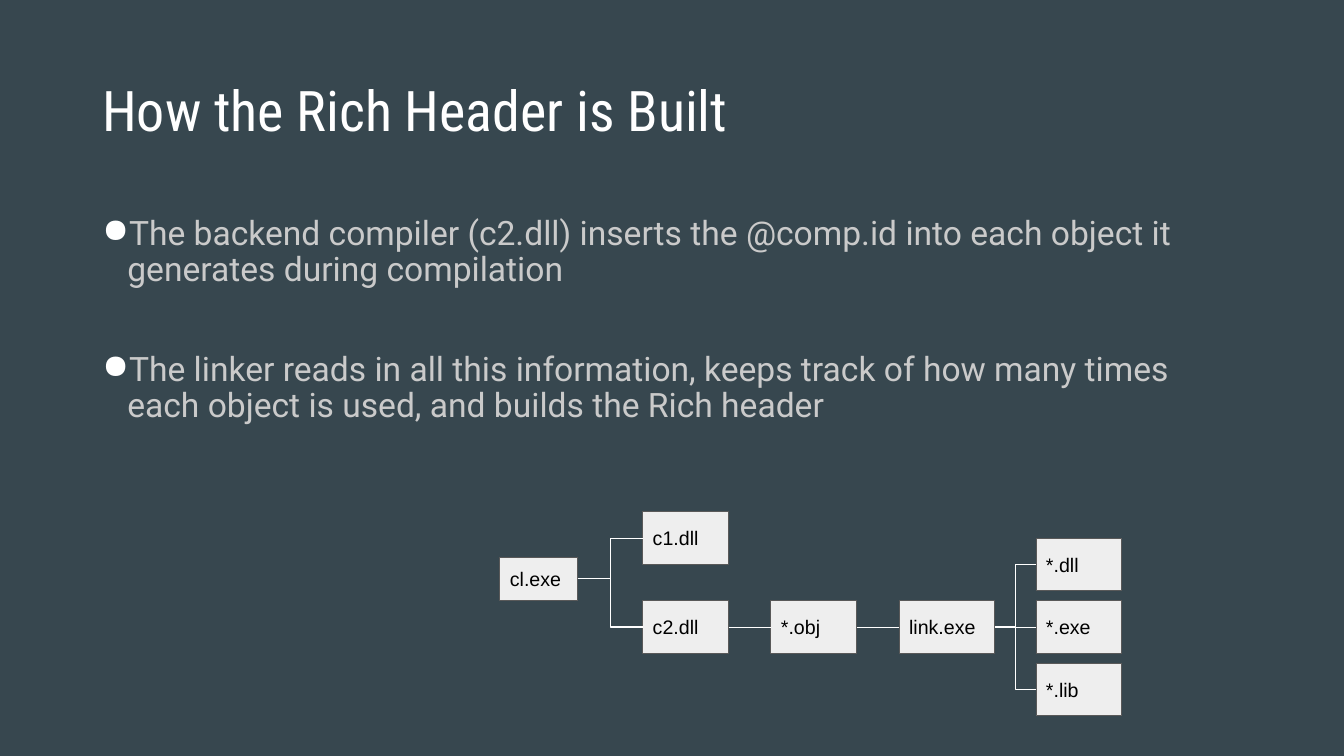
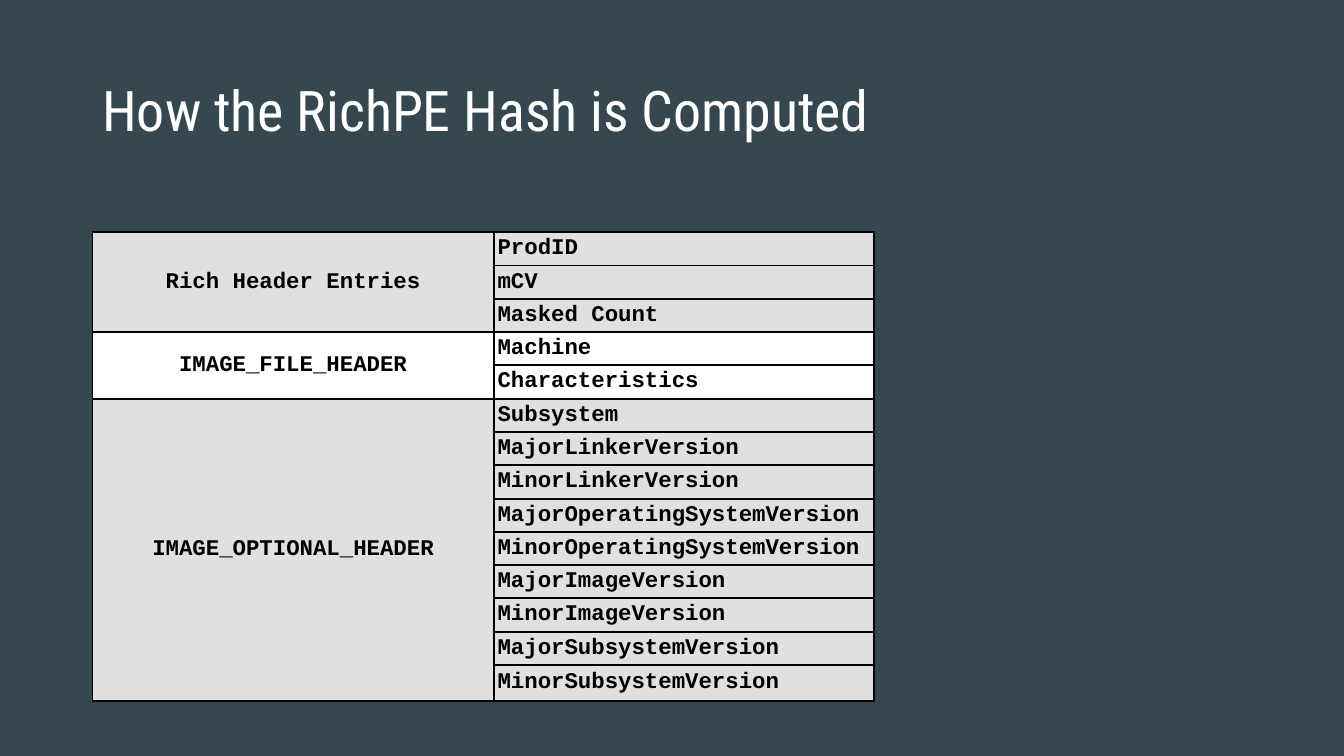
import pptx
import pptx.dml.color
import pptx.enum.shapes
import pptx.enum.text
import pptx.oxml
import pptx.oxml.ns
import pptx.util
from lxml import etree

Cm = pptx.util.Cm
Pt = pptx.util.Pt
ANCHOR = pptx.enum.text.MSO_ANCHOR
ALIGN = pptx.enum.text.PP_ALIGN
NAMESPACE = pptx.oxml.ns.nsdecls("a")

COLORS = {
    "background": "37474F", "title": "FFFFFF", "body": "CACACA",
    "box": "EEEEEE", "outline": "595959", "wire": "FFFFFF",
    "ink": "000000", "gray": "E0E0E0", "white": "FFFFFF",
}
FONTS = {
    "title": {"name": "Roboto Condensed", "size": Pt(40)},
    "body": {"name": "Roboto", "size": Pt(24)},
    "box": {"name": "Arial", "size": Pt(14)},
    "cell": {"name": "Courier New", "size": Pt(16), "bold": True},
}
TEXT_INSETS = {"margin_left": Cm(0.25), "margin_right": Cm(0.25),
               "margin_top": Cm(0.13), "margin_bottom": Cm(0.13)}
BOX_INSETS = {side: Cm(0.25) for side in TEXT_INSETS}
CELL_FORMAT = {"margin_left": Cm(0.1), "margin_right": Cm(0.1),
               "margin_top": Cm(0.08), "margin_bottom": Cm(0.08),
               "vertical_anchor": ANCHOR.MIDDLE}
LEFT, TEXT_WIDTH = 2.33, 29.21
RIGHT_SITE, LEFT_SITE = 3, 1


def rgb(color):
    return pptx.dml.color.RGBColor.from_string(COLORS[color])


def apply(target, values):
    for attribute, value in values.items():
        setattr(target, attribute, value)


class Deck:
    """Holds the presentation, its style and the current slide."""

    def __init__(self):
        self.presentation = pptx.Presentation()
        apply(self.presentation, {"slide_width": Cm(33.87), "slide_height": Cm(19.05)})
        self.slide = None

    def new_slide(self, title):
        self.slide = self.presentation.slides.add_slide(self.presentation.slide_layouts[6])
        background = self.slide.background.fill
        background.solid()
        background.fore_color.rgb = rgb("background")
        frame = self.text_area(1.01, 3.69, ANCHOR.MIDDLE)
        self.add_text(frame.paragraphs[0], title, "title", "title", line_spacing=0.9)

    def text_area(self, top, height, anchor):
        area = self.slide.shapes.add_textbox(Cm(LEFT), Cm(top), Cm(TEXT_WIDTH), Cm(height))
        apply(area.text_frame, {**TEXT_INSETS, "word_wrap": True, "vertical_anchor": anchor})
        return area.text_frame

    def add_text(self, paragraph, text, font, color, **layout):
        apply(paragraph, layout)
        run = paragraph.add_run()
        run.text = text
        apply(run.font, FONTS[font])
        run.font.color.rgb = rgb(color)

    def bullets(self, points):
        frame = self.text_area(5.33, 12.09, ANCHOR.TOP)
        for index, point in enumerate(points):
            paragraph = frame.add_paragraph() if index else frame.paragraphs[0]
            self.add_text(paragraph, point, "body", "body", line_spacing=0.9,
                          space_before=Pt(45 if index else 0))
            properties = paragraph._p.get_or_add_pPr()
            properties.set("marL", str(Cm(0.63)))
            properties.set("indent", str(-Cm(0.63)))
            color = etree.SubElement(properties, pptx.oxml.ns.qn("a:buClr"))
            etree.SubElement(color, pptx.oxml.ns.qn("a:srgbClr"), val=COLORS["title"])
            etree.SubElement(properties, pptx.oxml.ns.qn("a:buChar"), char="●")

    def box(self, text, left, center, width=2.16, height=1.32):
        box = self.slide.shapes.add_shape(
            pptx.enum.shapes.MSO_SHAPE.RECTANGLE,
            Cm(left), Cm(center - height / 2), Cm(width), Cm(height))
        box.shadow.inherit = False
        box.fill.solid()
        box.fill.fore_color.rgb = rgb("box")
        box.line.color.rgb = rgb("outline")
        box.line.width = Pt(0.75)
        apply(box.text_frame, {**BOX_INSETS, "word_wrap": True, "vertical_anchor": ANCHOR.MIDDLE})
        self.add_text(box.text_frame.paragraphs[0], text, "box", "ink", alignment=ALIGN.LEFT)
        return box

    def wire(self, source, target):
        wire = self.slide.shapes.add_connector(pptx.enum.shapes.MSO_CONNECTOR.ELBOW, 0, 0, 0, 0)
        wire.begin_connect(source, RIGHT_SITE)
        wire.end_connect(target, LEFT_SITE)
        wire.line.color.rgb = rgb("wire")
        wire.line.width = Pt(0.75)
        etree.SubElement(wire._element.spPr, pptx.oxml.ns.qn("a:effectLst"))

    def cell(self, cell, fill):
        apply(cell, CELL_FORMAT)
        cell.fill.solid()
        cell.fill.fore_color.rgb = rgb(fill)
        properties = cell._tc.get_or_add_tcPr()
        for position, side in enumerate("LRTB"):
            properties.insert(position, pptx.oxml.parse_xml(
                f'<a:ln{side} {NAMESPACE} w="{Pt(1.5)}"><a:solidFill>'
                f'<a:srgbClr val="{COLORS["ink"]}"/></a:solidFill></a:ln{side}>'))

    def grouped_table(self, top, groups, row_heights):
        """Each group is a header, its fill and the fields listed beside it."""
        columns = (10.11, 9.58)
        table = self.slide.shapes.add_table(
            len(row_heights), len(columns), Cm(LEFT), Cm(top),
            Cm(sum(columns)), Cm(sum(row_heights))).table
        apply(table, {"first_row": False, "horz_banding": False})
        for column, width in zip(table.columns, columns):
            column.width = Cm(width)
        for row, height in zip(table.rows, row_heights):
            row.height = Cm(height)
        first = 0
        for header, fill, fields in groups:
            for row, field in enumerate(fields, first):
                for column in range(len(columns)):
                    self.cell(table.cell(row, column), fill)
                self.add_text(table.cell(row, 1).text_frame.paragraphs[0], field, "cell", "ink")
            heading = table.cell(first, 0)
            heading.merge(table.cell(first + len(fields) - 1, 0))
            self.add_text(heading.text_frame.paragraphs[0], header, "cell", "ink",
                          alignment=ALIGN.CENTER)
            first += len(fields)


def build_header_slide(deck):
    deck.new_slide("How the Rich Header is Built")
    deck.bullets([
        "The backend compiler (c2.dll) inserts the @comp.id into each object it "
        "generates during compilation",
        "The linker reads in all this information, keeps track of how many times "
        "each object is used, and builds the Rich header",
    ])

    # Build chain: compiler, object file, linker
    chain_y, stage_x, stage_step = 15.8, 16.2, 3.23
    compiler = deck.box("cl.exe", 12.6, 14.59, 1.96, 1.09)
    frontend = deck.box("c1.dll", stage_x, 13.56)
    backend = deck.box("c2.dll", stage_x, chain_y)
    object_file = deck.box("*.obj", stage_x + stage_step, chain_y)
    linker = deck.box("link.exe", stage_x + 2 * stage_step, chain_y, 2.41)

    # Linker outputs, evenly spaced around the chain
    outputs = [deck.box(text, 26.11, chain_y + step * 1.58)
               for step, text in enumerate(("*.dll", "*.exe", "*.lib"), -1)]

    links = [(compiler, frontend), (compiler, backend), (backend, object_file),
             (object_file, linker)] + [(linker, output) for output in outputs]
    for source, target in links:
        deck.wire(source, target)


def build_hash_slide(deck):
    deck.new_slide("How the RichPE Hash is Computed")
    row_height = 0.79
    deck.grouped_table(5.85, [
        ("Rich Header Entries", "gray", ["ProdID", "mCV", "Masked Count"]),
        ("IMAGE_FILE_HEADER", "white", ["Machine", "Characteristics"]),
    ], [row_height] * 5)

    # Every version field comes as a major and minor pair
    versions = [f"{level}{part}Version"
                for part in ("Linker", "OperatingSystem", "Image", "Subsystem")
                for level in ("Major", "Minor")]
    deck.grouped_table(10.05, [
        ("IMAGE_OPTIONAL_HEADER", "gray", ["Subsystem"] + versions),
    ], [row_height] * 8 + [0.9])


def main():
    deck = Deck()
    build_header_slide(deck)
    build_hash_slide(deck)
    deck.presentation.save("out.pptx")


if __name__ == "__main__":
    main()
